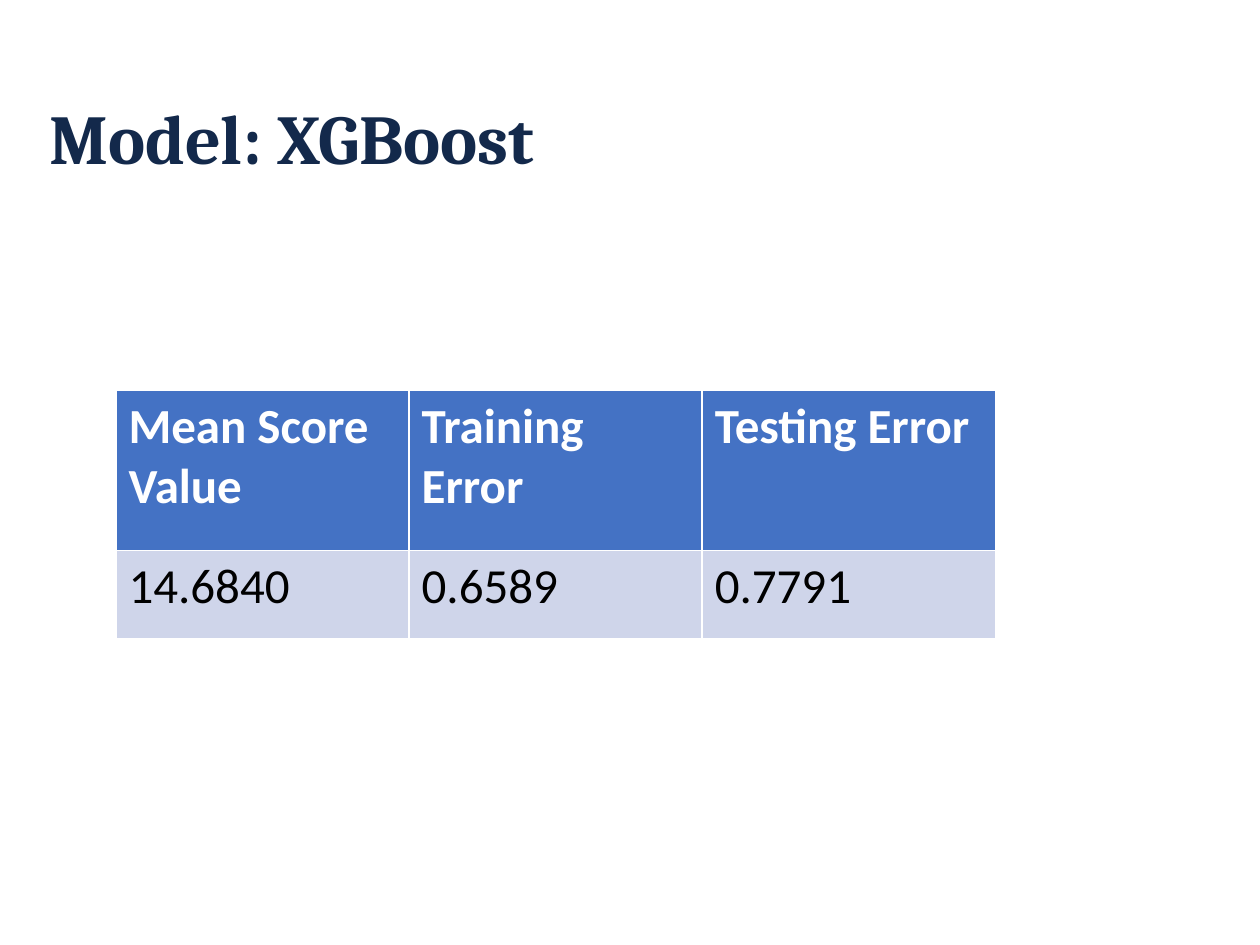
from pptx import Presentation
from pptx import util as u
from pptx.dml.color import RGBColor
from pptx.enum import text

TITLE = "Model: XGBoost"
ROWS = [
    ("Mean Score Value", "Training Error", "Testing Error"),
    ("14.6840", "0.6589", "0.7791"),
]
ROW_STYLES = [
    {"height": 1.27, "fill": "4472C4", "color": "FFFFFF", "bold": True},
    {"height": 0.7, "fill": "CFD5EA", "color": "000000", "bold": False},
]
TITLE_BOX = (0.29, 0.4, 7.82, 1.45)
TABLE_LEFT, TABLE_TOP, TABLE_WIDTH = 0.92, 3.1, 6.98


def rgb(value):
    return RGBColor.from_string(value)


def add_text(paragraph, content, font, size, color, bold):
    run = paragraph.add_run()
    run.text = content
    run.font.name = font
    run.font.size = u.Pt(size)
    run.font.bold = bold
    run.font.color.rgb = rgb(color)


def add_title(slide):
    title = slide.shapes.title
    title.left, title.top, title.width, title.height = map(u.Inches, TITLE_BOX)
    title.text_frame.vertical_anchor = text.MSO_ANCHOR.MIDDLE
    paragraph = title.text_frame.paragraphs[0]
    paragraph.alignment = text.PP_ALIGN.LEFT
    paragraph.line_spacing = 0.9
    add_text(paragraph, TITLE, "Cambria", 40, "13294B", True)


def add_scores(slide):
    height = sum(style["height"] for style in ROW_STYLES)
    table = slide.shapes.add_table(
        len(ROWS), len(ROWS[0]),
        *map(u.Inches, (TABLE_LEFT, TABLE_TOP, TABLE_WIDTH, height)),
    ).table
    for row, values, style in zip(table.rows, ROWS, ROW_STYLES):
        row.height = u.Inches(style["height"])
        for cell, value in zip(row.cells, values):
            cell.fill.solid()
            cell.fill.fore_color.rgb = rgb(style["fill"])
            add_text(cell.text_frame.paragraphs[0], value, "Calibri", 28,
                     style["color"], style["bold"])


def main():
    presentation = Presentation()
    presentation.slide_width = u.Inches(10)
    presentation.slide_height = u.Inches(7.5)
    slide = presentation.slides.add_slide(presentation.slide_layouts[5])
    add_title(slide)
    add_scores(slide)
    presentation.save("out.pptx")


if __name__ == "__main__":
    main()
